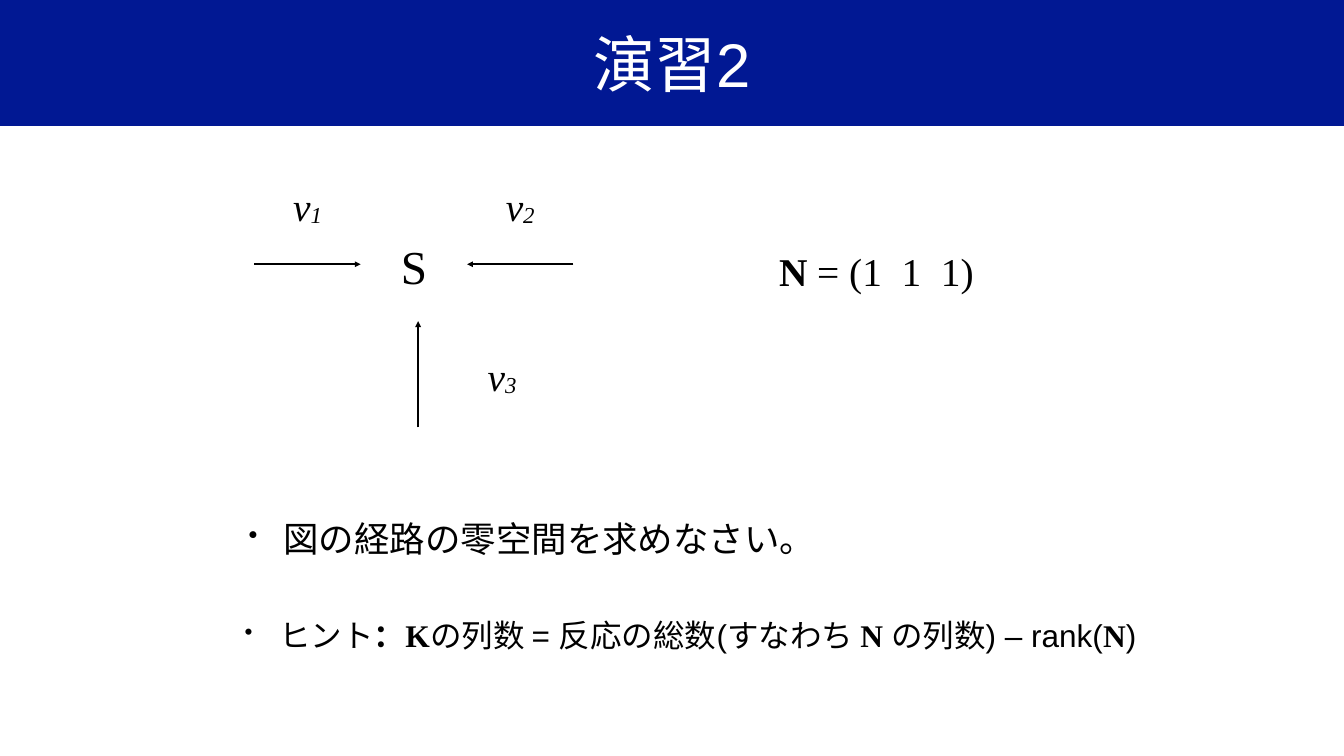
from collections import namedtuple
from dataclasses import dataclass

from lxml import etree
from pptx import Presentation
from pptx.dml.color import RGBColor
from pptx.enum.shapes import MSO_CONNECTOR, MSO_SHAPE
from pptx.enum.text import MSO_ANCHOR, MSO_AUTO_SIZE, PP_ALIGN
from pptx.oxml.ns import qn
from pptx.util import Inches, Pt

RECTANGLE = MSO_SHAPE.RECTANGLE
STRAIGHT = MSO_CONNECTOR.STRAIGHT
MIDDLE, TOP = MSO_ANCHOR.MIDDLE, MSO_ANCHOR.TOP
CENTER = PP_ALIGN.CENTER
GROW = MSO_AUTO_SIZE.SHAPE_TO_FIT_TEXT

Box = namedtuple("Box", "left top width height")
Span = namedtuple("Span", "text font bold baseline", defaults=(None, None, None))


@dataclass(frozen=True)
class Theme:
    """Colours, fonts and type sizes of the deck."""
    band: RGBColor = RGBColor(0x01, 0x18, 0x93)
    paper: RGBColor = RGBColor(0xFF, 0xFF, 0xFF)
    ink: RGBColor = RGBColor(0, 0, 0)
    sans: str = "Arial"
    serif: str = "Times New Roman"
    title: float = 62.6
    node: float = 48
    formula: float = 40
    task: float = 36
    hint: float = 32
    stroke: float = 2
    subscript: int = -6000


THEME = Theme()
SLIDE_WIDTH, SLIDE_HEIGHT = Inches(18.96), Inches(10.67)
LABEL_MARGIN = Inches(0.06)
BULLET_INDENT = Inches(0.49)


def share(left, top, width, height):
    """Return a box given in percent of the slide's size."""
    across, down = SLIDE_WIDTH / 100, SLIDE_HEIGHT / 100
    return Box(int(left * across), int(top * down), int(width * across), int(height * down))


def write_spans(para, spans, size, font, color, italic=None):
    """Fill a paragraph with spans over a common font."""
    para.font.size, para.font.name = Pt(size), font
    para.font.color.rgb, para.font.italic = color, italic
    for span in spans:
        run = para.add_run()
        run.text = span.text
        if span.font:
            run.font.name = span.font
        if span.bold:
            run.font.bold = True
        if span.baseline:
            run.font._element.set("baseline", str(span.baseline))


def add_label(shapes, box, spans, size, italic=None):
    """Add an unwrapped serif label centred in its box."""
    frame = shapes.add_textbox(*box).text_frame
    frame.word_wrap, frame.auto_size = False, GROW
    frame.vertical_anchor = MIDDLE
    frame.margin_left = frame.margin_right = LABEL_MARGIN
    frame.margin_top = frame.margin_bottom = LABEL_MARGIN
    para = frame.paragraphs[0]
    para.alignment = CENTER
    write_spans(para, spans, size, THEME.serif, THEME.ink, italic)


def add_arrow(shapes, start, end):
    """Add a straight arrow between two points."""
    arrow = shapes.add_connector(STRAIGHT, *start, *end)
    arrow.line.color.rgb = THEME.ink
    arrow.line.width = Pt(THEME.stroke)
    etree.SubElement(arrow.line._get_or_add_ln(), qn("a:tailEnd"), type="triangle")
    etree.SubElement(arrow._element.spPr, qn("a:effectLst"))


def add_title(page, box, text):
    """Add the title band."""
    band = page.shapes.add_shape(RECTANGLE, *box)
    band.shadow.inherit = False
    band.fill.solid()
    band.fill.fore_color.rgb = THEME.band
    band.line.fill.background()
    frame = band.text_frame
    frame.vertical_anchor = MIDDLE
    frame.margin_left = frame.margin_right = frame.margin_top = frame.margin_bottom = 0
    para = frame.paragraphs[0]
    para.alignment = CENTER
    write_spans(para, [Span(text)], THEME.title, THEME.sans, THEME.paper)


def add_pathway(page, box):
    """Add the three fluxes flowing into S on a grid of six columns."""
    cell = box.width / 6
    shapes = page.shapes.add_group_shape().shapes

    def point(column, row):
        """Return the slide position of a grid point."""
        return int(box.left + column * cell), int(box.top + row * cell)

    def centred(column, row, width, height):
        """Return a box centred on a grid point."""
        x, y = point(column, row)
        width, height = Inches(width), Inches(height)
        return Box(x - width // 2, y - height // 2, width, height)

    for start, end in (((0, 2), (2, 2)), ((6, 2), (4, 2)), ((3.08, 5.07), (3.08, 3.07))):
        add_arrow(shapes, point(*start), point(*end))
    add_label(shapes, centred(3, 2.03, 0.49, 0.92), [Span("S")], THEME.node)
    for number, spot in enumerate(((1, 0.89), (5, 0.89), (4.66, 4.1)), 1):
        spans = [Span("v"), Span(str(number), baseline=THEME.subscript)]
        add_label(shapes, centred(*spot, 0.55, 0.79), spans, THEME.formula, italic=True)


def add_bullet(page, box, spans, size, anchor=TOP, margin=None):
    """Add a wrapped text box with one bulleted paragraph."""
    frame = page.shapes.add_textbox(*box).text_frame
    frame.word_wrap = True
    frame.vertical_anchor = anchor
    if margin is not None:
        frame.margin_left = frame.margin_right = margin
        frame.margin_top = frame.margin_bottom = margin
    para = frame.paragraphs[0]
    properties = para._p.get_or_add_pPr()
    properties.set("marL", str(BULLET_INDENT))
    properties.set("indent", str(-BULLET_INDENT))
    etree.SubElement(properties, qn("a:buSzPct"), val="75000")
    etree.SubElement(properties, qn("a:buChar"), char="•")
    write_spans(para, spans, size, THEME.sans, THEME.ink)


def build_exercise(deck):
    """Build the exercise slide."""
    page = deck.slides.add_slide(deck.slide_layouts[6])
    add_title(page, share(0, 0, 100, 100 / 6), "演習2")
    add_pathway(page, share(18.93, 20.9, 23.73, 35.6))
    equation = [Span("N", bold=True), Span(" = (1  1  1)")]
    add_label(page.shapes, share(57.59, 32.15, 15.24, 7.4), equation, THEME.formula)
    task = [Span("図の経路の零空間を求めなさい。")]
    add_bullet(page, share(17.99, 67.95, 64.03, 23.15), task, THEME.task)
    hint = [
        Span("ヒント"),
        Span("：K", THEME.serif, True),
        Span("の列数 = 反応の総数(すなわち "),
        Span("N ", THEME.serif, True),
        Span("の列数) – rank("),
        Span("N", THEME.serif, True),
        Span(")"),
    ]
    add_bullet(page, share(17.88, 80.97, 69.46, 6.09), hint, THEME.hint, MIDDLE, LABEL_MARGIN)


def main():
    """Create the deck and save it."""
    deck = Presentation()
    deck.slide_width, deck.slide_height = SLIDE_WIDTH, SLIDE_HEIGHT
    build_exercise(deck)
    deck.save("out.pptx")


if __name__ == "__main__":
    main()
